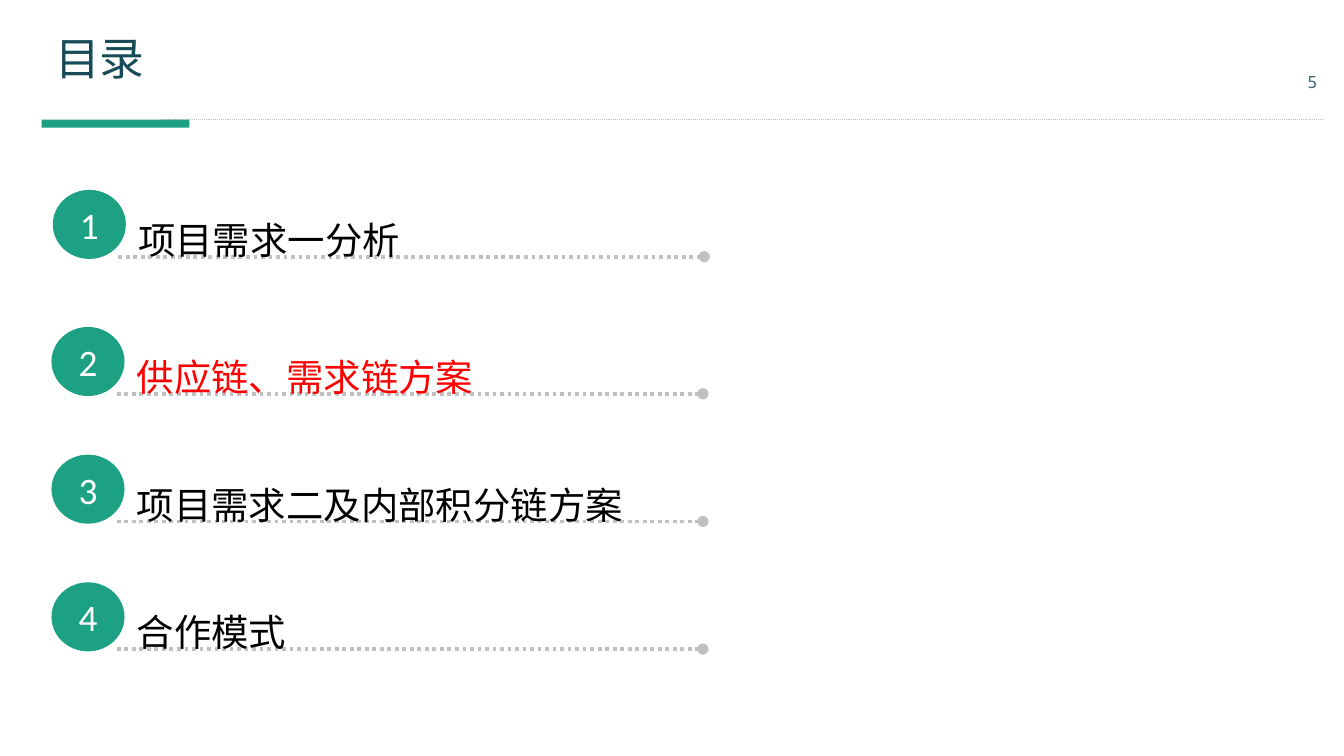
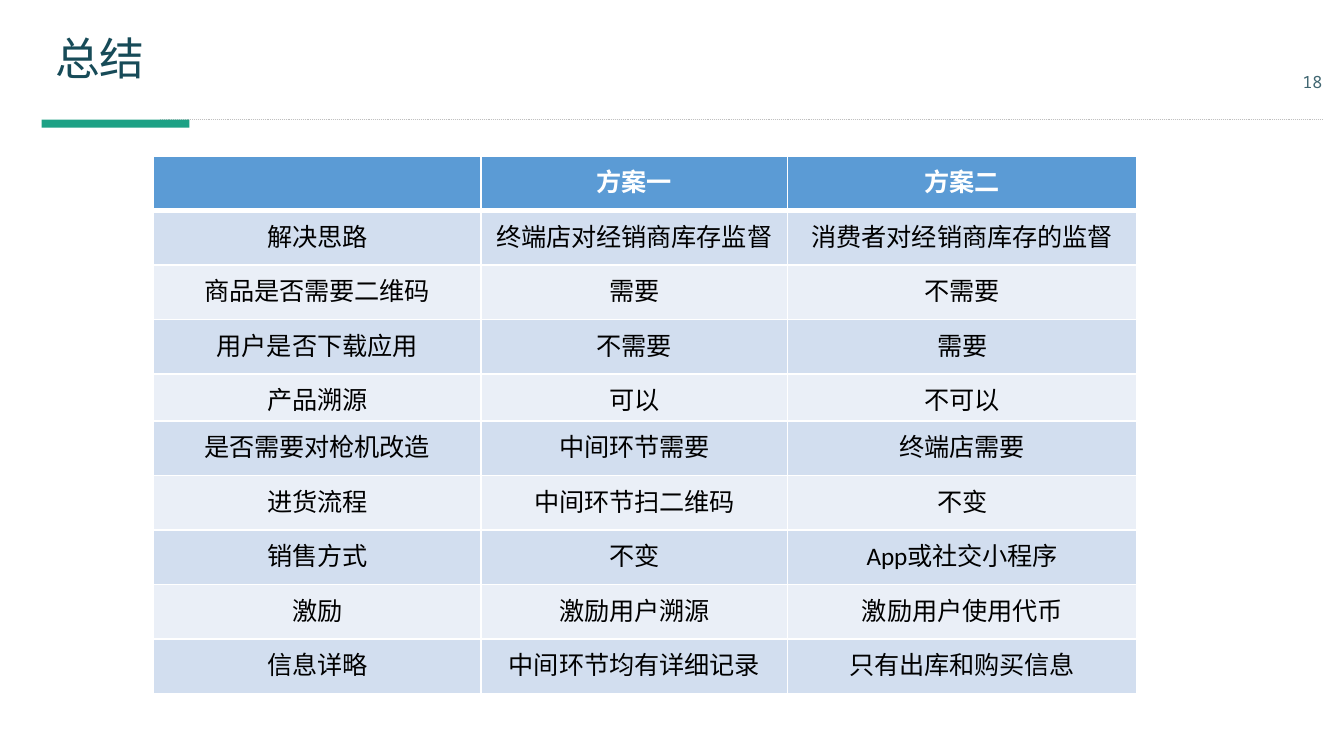
from typing import NamedTuple

from lxml.etree import SubElement
from pptx import Presentation
from pptx.dml.color import RGBColor
from pptx.enum.dml import MSO_LINE
from pptx.enum.shapes import MSO_CONNECTOR as Conn, MSO_SHAPE as Geo
from pptx.enum.text import MSO_ANCHOR as Anchor, MSO_AUTO_SIZE as Fit, PP_ALIGN as Align
from pptx.oxml.ns import qn
from pptx.util import Inches, Pt

GREEN, TITLE_COLOR, NUMBER_COLOR = "1DA185", "174B58", "406671"
RULE_GRAY, ITEM_GRAY = "BFBFBF", "C0C0C0"
BLACK, WHITE, RED = "000000", "FFFFFF", "FF0000"
HEADER_FILL, BAND_FILLS = "5B9BD5", ("D2DEEF", "EAEFF7")
CJK, LATIN, MONO = "Noto Sans CJK SC", "Calibri", "Noto Sans Mono"


class AgendaItem(NamedTuple):
    text: str
    left: float
    top: float
    color: str = BLACK


AGENDA = [
    AgendaItem("项目需求一分析", 0.4, 1.42),
    AgendaItem("供应链、需求链方案", 0.39, 2.44, RED),
    AgendaItem("项目需求二及内部积分链方案", 0.39, 3.39),
    AgendaItem("合作模式", 0.39, 4.34),
]

COLUMN_WIDTHS = (2.44, 2.28, 2.6)
TABLE_HEIGHT, TRACING_ROW, TRACING_HEIGHT = 4, 4, 0.35
COMPARISON = [
    ("", "方案一", "方案二"),
    ("解决思路", "终端店对经销商库存监督", "消费者对经销商库存的监督"),
    ("商品是否需要二维码", "需要", "不需要"),
    ("用户是否下载应用", "不需要", "需要"),
    ("产品溯源", "可以", "不可以"),
    ("是否需要对枪机改造", "中间环节需要", "终端店需要"),
    ("进货流程", "中间环节扫二维码", "不变"),
    ("销售方式", "不变", "App或社交小程序"),
    ("激励", "激励用户溯源", "激励用户使用代币"),
    ("信息详略", "中间环节均有详细记录", "只有出库和购买信息"),
]


def rgb(color: str) -> RGBColor:
    return RGBColor.from_string(color)


def box(left: float, top: float, width: float, height: float) -> tuple:
    return Inches(left), Inches(top), Inches(width), Inches(height)


def write(tf, text: str, *, size: float, color: str, font: str = CJK,
          align=Align.LEFT, spacing: float | None = None, bold: bool = False) -> None:
    p = tf.paragraphs[0]
    p.alignment = align
    p.line_spacing = spacing
    r = p.add_run()
    r.text = text
    r.font.size, r.font.name, r.font.bold = Pt(size), font, bold
    r.font.color.rgb = rgb(color)
    SubElement(r.font._element, qn("a:ea")).set("typeface", CJK)


def clear_margins(tf) -> None:
    tf.margin_left = tf.margin_right = tf.margin_top = tf.margin_bottom = 0


def add_filled(shapes, geometry, place: tuple, color: str, outline: float = 0):
    s = shapes.add_shape(geometry, *place)
    s.shadow.inherit = False
    s.fill.solid()
    s.fill.fore_color.rgb = rgb(color)
    if outline:
        s.line.color.rgb = rgb(color)
        s.line.width = Pt(outline)
    else:
        s.line.fill.background()
    return s


def add_dotted_line(shapes, left: float, right: float, y: float, color: str,
                    width: float, oval_end: bool = False) -> None:
    line = shapes.add_connector(Conn.STRAIGHT, Inches(left), Inches(y),
                                Inches(right), Inches(y))
    line.line.color.rgb = rgb(color)
    line.line.width = Pt(width)
    line.line.dash_style = MSO_LINE.ROUND_DOT
    if oval_end:
        SubElement(line.line._get_or_add_ln(), qn("a:tailEnd")).set("type", "oval")
    SubElement(line._element.spPr, qn("a:effectLst"))


def add_titled_slide(prs, title: str, number: int):
    """Add a slide with the shared rule, accent bar, title and page number."""
    s = prs.slides.add_slide(prs.slide_layouts[5])
    add_dotted_line(s.shapes, 1.19, 9.84, 0.89, RULE_GRAY, 0.5)
    add_filled(s.shapes, Geo.RECTANGLE, box(0.31, 0.89, 1.1, 0.06), GREEN)

    sp = s.shapes.title
    sp.left, sp.top, sp.width, sp.height = box(0.31, 0.16, 8.23, 0.59)
    tf = sp.text_frame
    tf.auto_size, tf.vertical_anchor = Fit.NONE, Anchor.MIDDLE
    write(tf, title, size=24, color=TITLE_COLOR, spacing=0.9)

    tf = s.shapes.add_textbox(*box(9.57, 0.46, 0.39, 0.29)).text_frame
    tf.word_wrap, tf.vertical_anchor = True, Anchor.MIDDLE
    clear_margins(tf)
    write(tf, str(number), size=9, color=NUMBER_COLOR, font=MONO, align=Align.CENTER)
    return s


def add_agenda_item(s, number: int, item: AgendaItem) -> None:
    shapes = s.shapes.add_group_shape().shapes
    add_dotted_line(shapes, item.left + 0.48, item.left + 4.84, item.top + 0.49,
                    ITEM_GRAY, 2, oval_end=True)

    badge = add_filled(shapes, Geo.OVAL, box(item.left, item.top, 0.53, 0.5), GREEN, 1)
    tf = badge.text_frame
    tf.vertical_anchor = Anchor.MIDDLE
    clear_margins(tf)
    write(tf, str(number), size=20, color=WHITE, font=LATIN, align=Align.CENTER)

    label = shapes.add_textbox(*box(item.left + 0.53, item.top - 0.02, 6.83, 0.55))
    tf = label.text_frame
    tf.word_wrap, tf.auto_size = True, Fit.SHAPE_TO_FIT_TEXT
    write(tf, item.text, size=20, color=item.color, align=Align.JUSTIFY, spacing=1.5)


def add_borders(cell, top: float, bottom: float) -> None:
    """Draw white borders; must run before the cell is filled."""
    tcPr = cell._tc.get_or_add_tcPr()
    for side, width in (("L", 1), ("R", 1), ("T", top), ("B", bottom)):
        ln = SubElement(tcPr, qn(f"a:ln{side}"), w=str(Pt(width)))
        SubElement(SubElement(ln, qn("a:solidFill")), qn("a:srgbClr"), val=WHITE)


def add_comparison_table(s) -> None:
    place = box(1.14, 1.16, sum(COLUMN_WIDTHS), TABLE_HEIGHT)
    table = s.shapes.add_table(len(COMPARISON), len(COLUMN_WIDTHS), *place).table
    for column, width in zip(table.columns, COLUMN_WIDTHS):
        column.width = Inches(width)
    row_height = (TABLE_HEIGHT - TRACING_HEIGHT) / (len(COMPARISON) - 1)
    for i, texts in enumerate(COMPARISON):
        header = i == 0
        table.rows[i].height = Inches(TRACING_HEIGHT if i == TRACING_ROW else row_height)
        for j, text in enumerate(texts):
            cell = table.cell(i, j)
            add_borders(cell, top=3 if i == 1 else 1, bottom=3 if header else 1)
            cell.fill.solid()
            cell.fill.fore_color.rgb = rgb(HEADER_FILL if header else BAND_FILLS[(i - 1) % 2])
            if text:
                write(cell.text_frame, text, size=13.5, color=WHITE if header else BLACK,
                      font=LATIN, align=Align.CENTER, bold=header)


def main() -> None:
    prs = Presentation()
    prs.slide_width = Inches(10)
    prs.slide_height = prs.slide_width * 9 // 16

    agenda = add_titled_slide(prs, "目录", 5)
    for number, item in enumerate(AGENDA, 1):
        add_agenda_item(agenda, number, item)

    summary = add_titled_slide(prs, "总结", 18)
    add_comparison_table(summary)

    prs.save("out.pptx")


if __name__ == "__main__":
    main()
